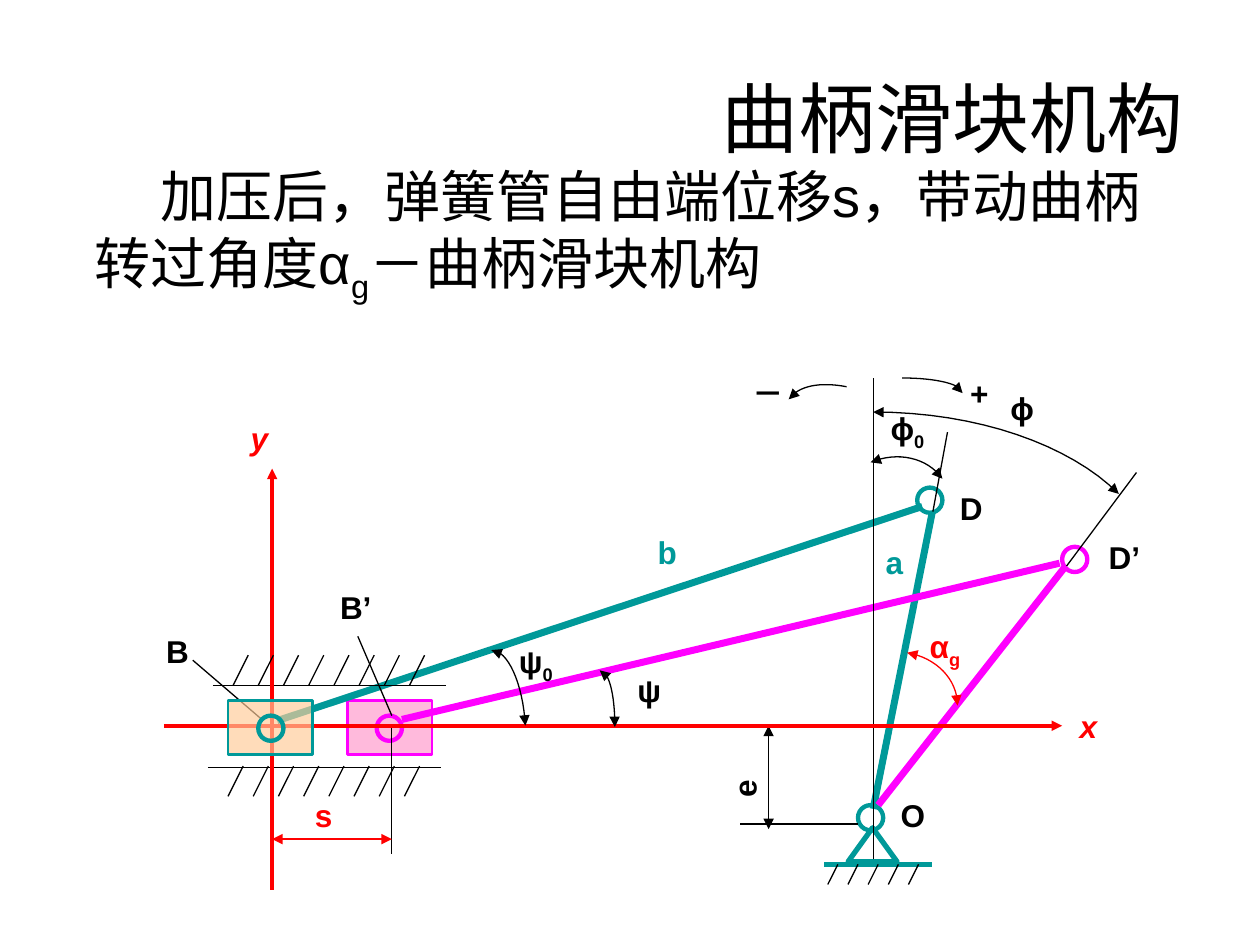
from dataclasses import dataclass

from lxml import etree
from pptx import Presentation
from pptx.dml.color import RGBColor
from pptx.enum.dml import MSO_LINE
from pptx.enum.shapes import MSO_CONNECTOR, MSO_SHAPE
from pptx.enum.text import MSO_ANCHOR, MSO_AUTO_SIZE, PP_ALIGN
from pptx.oxml.ns import qn
from pptx.util import Inches, Pt

STRAIGHT = MSO_CONNECTOR.STRAIGHT
RECTANGLE, OVAL, TRIANGLE = MSO_SHAPE.RECTANGLE, MSO_SHAPE.OVAL, MSO_SHAPE.ISOSCELES_TRIANGLE
DASH_DOT = MSO_LINE.LONG_DASH_DOT
Point = tuple[float, float]


@dataclass(frozen=True)
class Theme:
    font: str = "Arial"
    ink: str = "000000"
    red: str = "FF0000"
    teal: str = "009999"
    magenta: str = "FF00FF"
    orange: str = "FFCC99"
    pink: str = "FF99CC"
    title_size: int = 44
    body_size: int = 32
    label_size: int = 18
    thin: float = 0.75
    axis: float = 2
    joint: float = 2.5
    support: float = 3
    rod: float = 4


THEME = Theme()


@dataclass(frozen=True)
class Line:
    start: Point
    end: Point
    color: str = THEME.ink
    width: float = THEME.thin
    head: bool = False
    tail: bool = False


@dataclass(frozen=True)
class Arc:
    """A cubic curve given by its end points and two control points."""
    points: tuple[Point, Point, Point, Point]
    color: str = THEME.ink
    head: bool = True


@dataclass(frozen=True)
class Label:
    text: str
    left: float
    top: float
    color: str = THEME.ink
    subscript: str = ""
    italic: bool = False
    rotation: float = 0


@dataclass(frozen=True)
class Slider:
    left: float
    joint_left: float
    fill: str
    color: str


def style_line(line, color: str, width: float, head: bool = False, tail: bool = False) -> None:
    line.color.rgb = RGBColor.from_string(color)
    line.width = Pt(width)
    for wanted, tag in ((head, "a:headEnd"), (tail, "a:tailEnd")):
        if wanted:
            etree.SubElement(line._get_or_add_ln(), qn(tag)).set("type", "triangle")


def draw_line(slide, item: Line):
    ends = [Inches(value) for value in (*item.start, *item.end)]
    connector = slide.shapes.add_connector(STRAIGHT, *ends)
    style_line(connector.line, item.color, item.width, item.head, item.tail)
    etree.SubElement(connector._element.spPr, qn("a:effectLst"))
    return connector


def draw_arc(slide, arc: Arc, steps: int = 16) -> None:
    def at(t: float) -> Point:
        weights = ((1 - t) ** 3, 3 * t * (1 - t) ** 2, 3 * t**2 * (1 - t), t**3)
        return tuple(
            Inches(sum(w * p[axis] for w, p in zip(weights, arc.points))) for axis in (0, 1)
        )

    builder = slide.shapes.build_freeform(*at(0))
    builder.add_line_segments([at(i / steps) for i in range(1, steps + 1)], close=False)
    curve = builder.convert_to_shape()
    curve.fill.background()
    curve.shadow.inherit = False
    style_line(curve.line, arc.color, THEME.thin, arc.head, True)


def draw_outline(slide, kind, left: float, top: float, width: float, height: float,
                 color: str, line_width: float):
    shape = slide.shapes.add_shape(kind, *map(Inches, (left, top, width, height)))
    shape.fill.background()
    shape.shadow.inherit = False
    style_line(shape.line, color, line_width)
    return shape


def draw_joint(slide, left: float, top: float, color: str) -> None:
    draw_outline(slide, OVAL, left, top, 0.2, 0.2, color, THEME.joint)


def draw_slider(slide, slider: Slider) -> None:
    block = draw_outline(slide, RECTANGLE, slider.left, 5.56, 0.67, 0.43, slider.color, 1.5)
    block.fill.solid()
    block.fill.fore_color.rgb = RGBColor.from_string(slider.fill)
    color = block._element.spPr.find(qn("a:solidFill"))[0]
    etree.SubElement(color, qn("a:alpha")).set("val", "67000")
    draw_joint(slide, slider.joint_left, 5.68, slider.color)


def draw_hatching(slide, left: float, top: float, count: int, gap: float, size: Point) -> None:
    """Draw slanted strokes whose upper ends start at left and top."""
    for index in range(count):
        x = left + index * gap
        draw_line(slide, Line((x, top), (x - size[0], top + size[1])))


def format_runs(paragraph, size: int, color: str = THEME.ink) -> None:
    for run in paragraph.runs:
        run.font.name = THEME.font
        run.font.size = Pt(size)
        run.font.color.rgb = RGBColor.from_string(color)


def add_subscript(paragraph, text: str) -> None:
    run = paragraph.add_run()
    run.text = text
    run._r.get_or_add_rPr().set("baseline", "-25000")


def draw_label(slide, label: Label) -> None:
    height = 0.44 if label.subscript else 0.4
    box = slide.shapes.add_textbox(*map(Inches, (label.left, label.top, 0.55, height)))
    box.rotation = label.rotation
    frame = box.text_frame
    frame.word_wrap = True
    frame.auto_size = MSO_AUTO_SIZE.SHAPE_TO_FIT_TEXT
    frame.text = label.text
    paragraph = frame.paragraphs[0]
    if label.subscript:
        add_subscript(paragraph, label.subscript)
    format_runs(paragraph, THEME.label_size, label.color)
    for run in paragraph.runs:
        run.font.bold = True
        run.font.italic = label.italic


def place(shape, left: float, top: float, width: float, height: float) -> None:
    shape.left, shape.top, shape.width, shape.height = map(Inches, (left, top, width, height))


def write_text(slide) -> None:
    title, body = slide.shapes.title, slide.placeholders[1]
    place(title, 0.5, 0.3, 9, 1.25)
    title.text_frame.text = "曲柄滑块机构"
    title.text_frame.vertical_anchor = MSO_ANCHOR.MIDDLE
    heading = title.text_frame.paragraphs[0]
    heading.alignment = PP_ALIGN.RIGHT
    format_runs(heading, THEME.title_size)

    place(body, 0.27, 1.23, 9.33, 5.46)
    body.text_frame.text = "加压后，弹簧管自由端位移s，带动曲柄转过角度α"
    body.text_frame.auto_size = MSO_AUTO_SIZE.NONE
    paragraph = body.text_frame.paragraphs[0]
    properties = paragraph._p.get_or_add_pPr()
    properties.set("marL", str(Inches(0.38)))
    properties.set("indent", str(Inches(0.52)))
    etree.SubElement(properties, qn("a:buNone"))
    paragraph.space_before = Pt(0)
    add_subscript(paragraph, "g")
    paragraph.add_run().text = "－曲柄滑块机构"
    format_runs(paragraph, THEME.body_size)


INK, RED, TEAL, MAGENTA = THEME.ink, THEME.red, THEME.teal, THEME.magenta
SLIDER_B = Slider(1.81, 2.05, THEME.orange, TEAL)
SLIDER_B_MOVED = Slider(2.76, 2.99, THEME.pink, MAGENTA)
LINES = [
    Line((7.36, 4.3), (7.52, 3.43)), Line((8.37, 4.62), (9.02, 3.75)),
    Line((6.93, 6.42), (7.4, 4.06), TEAL, THEME.rod),
    Line((2.2, 5.72), (7.32, 4.02), TEAL, THEME.rod),
    Line((3.19, 5.71), (8.41, 4.47), MAGENTA, THEME.rod),
    Line((6.97, 6.39), (8.46, 4.49), MAGENTA, THEME.rod),
    Line((1.69, 5.44), (3.54, 5.44)), Line((1.65, 6.09), (3.5, 6.09)),
    Line((6.93, 6.82), (6.93, 3)), Line((6.54, 6.86), (7.4, 6.86), TEAL, THEME.support),
    Line((6.81, 6.54), (5.87, 6.54)), Line((6.1, 5.76), (6.1, 6.58), head=True, tail=True),
    Line((1.53, 5.24), (2.09, 5.72)), Line((2.84, 5.05), (3.11, 5.68)),
    Line((2.16, 5.76), (2.16, 6.78)), Line((3.11, 5.76), (3.11, 6.78)),
    Line((2.16, 6.66), (3.11, 6.66), RED, head=True, tail=True),
    Line((2.16, 7.06), (2.16, 3.72), RED, THEME.axis, tail=True),
    Line((1.3, 5.76), (8.43, 5.76), RED, THEME.axis, tail=True),
]
ARCS = [
    Arc(((3.9, 5.16), (4.03, 5.16), (4.15, 5.42), (4.17, 5.76))),
    Arc(((4.76, 5.32), (4.83, 5.32), (4.88, 5.5), (4.88, 5.77))),
    Arc(((6.91, 3.67), (7.12, 3.58), (7.36, 3.63), (7.48, 3.8))),
    Arc(((6.93, 3.27), (7.76, 3.27), (8.49, 3.53), (8.88, 3.92))),
    Arc(((7.2, 5.18), (7.43, 5.22), (7.6, 5.39), (7.6, 5.6)), RED),
    Arc(((7.16, 3), (7.43, 3), (7.64, 3.05), (7.64, 3.12)), head=False),
    Arc(((6.72, 3.07), (6.51, 3.03), (6.34, 3.06), (6.26, 3.17)), head=False),
]
LABELS = [
    Label("O", 7.05, 6.27), Label("D", 7.52, 3.83), Label("D’", 8.7, 4.22),
    Label("B", 1.22, 4.97), Label("B’", 2.6, 4.62), Label("s", 2.4, 6.27, RED),
    Label("e", 5.63, 5.95, rotation=270), Label("a", 6.93, 4.26, TEAL),
    Label("b", 5.12, 4.18, TEAL), Label("+", 7.6, 2.92), Label("－", 5.87, 2.92),
    Label("ψ", 4.02, 5.05, subscript="0"), Label("ψ", 4.96, 5.28),
    Label("ϕ", 6.97, 3.2, subscript="0"), Label("ϕ", 7.92, 3.04),
    Label("α", 7.28, 4.93, RED, subscript="g"),
    Label("y", 1.89, 3.28, RED, italic=True), Label("x", 8.47, 5.56, RED, italic=True),
]


def main() -> None:
    presentation = Presentation()
    presentation.slide_width, presentation.slide_height = Inches(10), Inches(7.5)
    slide = presentation.slides.add_slide(presentation.slide_layouts[1])
    write_text(slide)
    draw_slider(slide, SLIDER_B_MOVED)
    center_line = draw_line(slide, Line((1.61, 5.76), (8.11, 5.76), width=1.5))
    center_line.line.dash_style = DASH_DOT
    for left, top, color in ((7.28, 3.87, TEAL), (8.43, 4.34, MAGENTA), (6.81, 6.39, TEAL)):
        draw_joint(slide, left, top, color)
    draw_outline(slide, TRIANGLE, 6.73, 6.57, 0.39, 0.27, TEAL, THEME.support)
    for line in LINES:
        draw_line(slide, line)
    for left, top in ((1.97, 5.2), (1.93, 6.08)):
        draw_hatching(slide, left, top, 8, 0.2, (0.12, 0.24))
    draw_hatching(slide, 6.65, 6.86, 5, 0.16, (0.08, 0.16))
    draw_slider(slide, SLIDER_B)
    for arc in ARCS:
        draw_arc(slide, arc)
    for label in LABELS:
        draw_label(slide, label)
    presentation.save("out.pptx")


if __name__ == "__main__":
    main()
